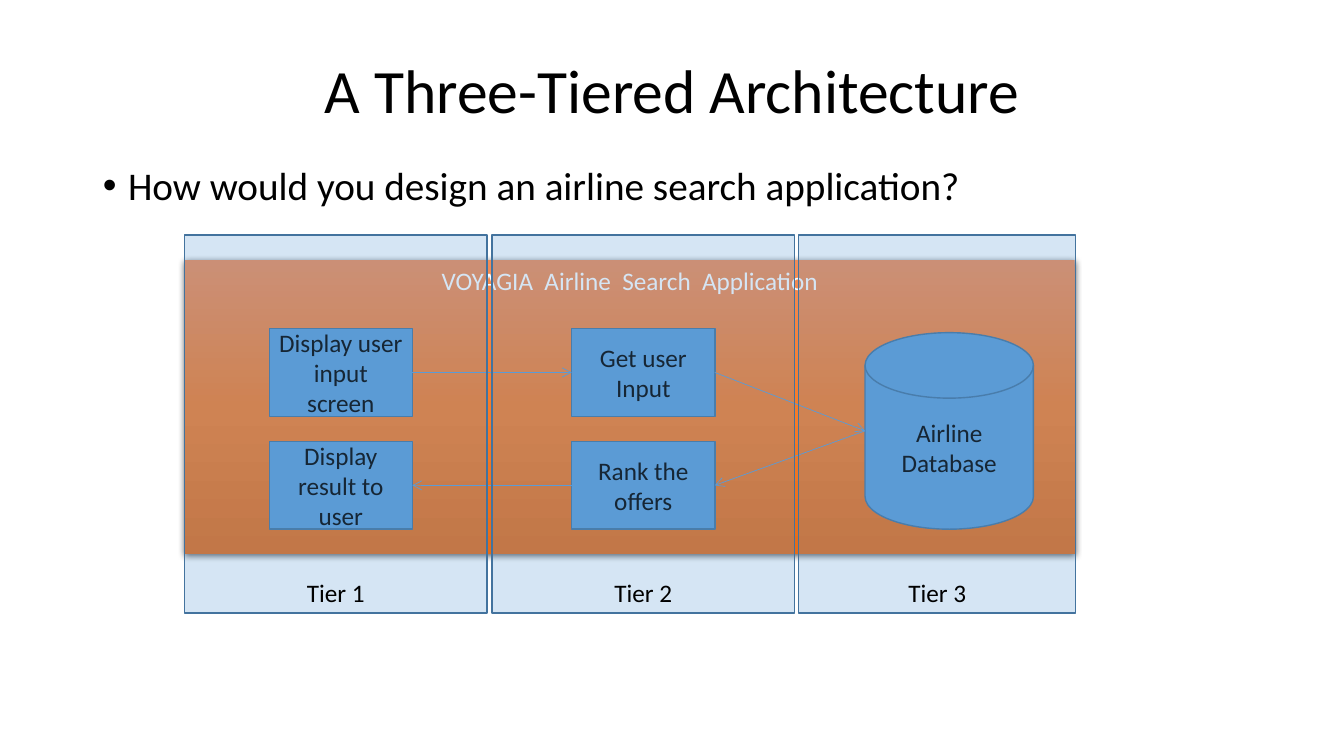
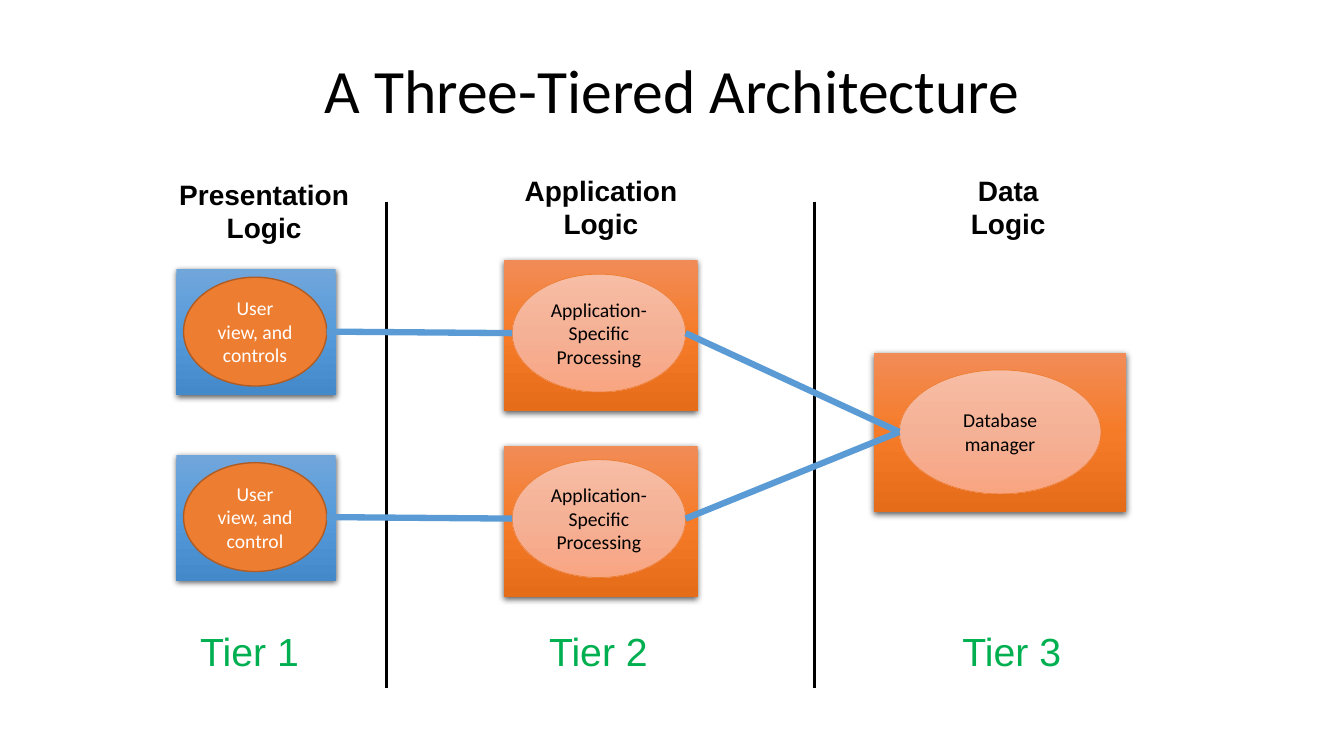
from lxml.etree import SubElement
from pptx import Presentation
from pptx.dml.color import RGBColor
from pptx.enum.dml import MSO_LINE
from pptx.enum.shapes import MSO_CONNECTOR, MSO_SHAPE
from pptx.enum.text import MSO_ANCHOR, MSO_AUTO_SIZE, PP_ALIGN
from pptx.oxml.ns import qn
from pptx.util import Emu, Pt

# Shared style
EMU_PER_PX = 9144  # 100 px to the inch
BLACK, WHITE, GREEN = "000000", "FFFFFF", "00B050"
BLUE, BLUE_EDGE = "5B9BD5", "43739E"
ORANGE, ORANGE_EDGE = "ED7D31", "AF5C24"
ORANGE_GRADIENT = ("F18C57", "F67B28", "E56C19")
BLUE_GRADIENT = ("71A6DB", "559BDB", "448ACA")
PALE_GRADIENT = ("F7BDA5", "F5B196", "F8A582")
HEADING = "A Three-Tiered Architecture"
TITLE_LAYOUT, LIST_LAYOUT = 5, 1


def px(length):
    return Emu(length * EMU_PER_PX)


def color(hex_string):
    return RGBColor.from_string(hex_string)


class Deck:
    """Holds the style and the current slide."""

    def __init__(self):
        self.presentation = Presentation()
        self.presentation.slide_width = px(1333)
        self.presentation.slide_height = px(750)
        self.slide = None

    def new_slide(self, layout):
        layouts = self.presentation.slide_layouts
        self.slide = self.presentation.slides.add_slide(layouts[layout])
        title = self.slide.shapes.title
        self.place(title, 217, 35, 900, 115)
        title.text_frame.vertical_anchor = MSO_ANCHOR.MIDDLE
        paragraph = self.add_text(title, HEADING, 44)
        paragraph.line_spacing = 0.9

    def place(self, shape, left, top, width, height):
        shape.left, shape.top = px(left), px(top)
        shape.width, shape.height = px(width), px(height)

    def add_text(self, shape, text, size, text_color=BLACK, font="Calibri",
                 bold=False, align=PP_ALIGN.CENTER, word_gap=0):
        """Fill one paragraph; word_gap widens the spaces, in points."""
        frame = shape.text_frame
        frame.word_wrap = True
        frame.auto_size = MSO_AUTO_SIZE.NONE
        paragraph = frame.paragraphs[0]
        paragraph.alignment = align
        pieces = text.replace(" ", "| |").split("|") if word_gap else [text]
        for piece in pieces:
            run = paragraph.add_run()
            run.text = piece
            run.font.size = Pt(size)
            run.font.name = font
            run.font.bold = bold
            run.font.color.rgb = color(text_color)
            if piece == " ":
                run.font._element.set("spc", str(word_gap * 100))
        return paragraph

    def bullet(self, text):
        body = self.slide.placeholders[1]
        self.place(body, 92, 160, 900, 495)
        paragraph = self.add_text(body, text, 28, align=PP_ALIGN.LEFT)
        paragraph.line_spacing = 0.9
        paragraph.space_before = Pt(10)
        properties = paragraph._p.get_or_add_pPr()
        properties.set("marL", str(px(25)))
        properties.set("indent", str(px(-25)))
        SubElement(properties, qn("a:buFont"), typeface="Arial")
        SubElement(properties, qn("a:buChar"), char="•")

    def shape(self, kind, box, fill, edge=None, edge_width=1, alpha=None, group=None):
        """Add a preset shape; a tuple of three colours fills it as a gradient."""
        shape = (group or self.slide).shapes.add_shape(kind, *map(px, box))
        shape.shadow.inherit = False
        shape.text_frame.vertical_anchor = MSO_ANCHOR.MIDDLE
        if isinstance(fill, tuple):
            self.gradient(shape, fill)
        else:
            shape.fill.solid()
            shape.fill.fore_color.rgb = color(fill)
        if alpha:
            solid = shape._element.spPr.find(qn("a:solidFill"))
            SubElement(solid[0], qn("a:alpha"), val=str(alpha * 1000))
        if edge:
            shape.line.color.rgb = color(edge)
            shape.line.width = Pt(edge_width)
        else:
            shape.line.fill.background()
        return shape

    def gradient(self, shape, colors):
        shape.fill.gradient()
        shape.fill.gradient_angle = 270
        stops = shape._element.spPr.find(qn("a:gradFill")).find(qn("a:gsLst"))
        for stop in list(stops):
            stops.remove(stop)
        for index, hex_string in enumerate(colors):
            stop = SubElement(stops, qn("a:gs"), pos=str(index * 50000))
            SubElement(stop, qn("a:srgbClr"), val=hex_string)

    def raised_panel(self, box, colors, group=None):
        panel = self.shape(MSO_SHAPE.RECTANGLE, box, colors, group=group)
        effects = panel._element.spPr.find(qn("a:effectLst"))
        shadow = SubElement(effects, qn("a:outerShdw"), blurRad=str(Pt(4.5)),
                            dist=str(Pt(1.5)), dir="5400000", rotWithShape="0")
        shade = SubElement(shadow, qn("a:srgbClr"), val=BLACK)
        SubElement(shade, qn("a:alpha"), val="63000")
        return panel

    def step(self, kind, box, text):
        step = self.shape(kind, box, BLUE, BLUE_EDGE)
        self.add_text(step, text, 18)
        return step

    def component(self, panel_box, panel_colors, oval_box, text, oval_style, text_color):
        """Group a raised panel with the labelled oval on it; return the oval."""
        group = self.slide.shapes.add_group_shape()
        self.raised_panel(panel_box, panel_colors, group)
        oval = self.shape(MSO_SHAPE.OVAL, oval_box, *oval_style, group=group)
        self.add_text(oval, text, 14, text_color)
        return oval

    def label(self, box, text, size, text_color=BLACK, bold=False):
        text_box = self.slide.shapes.add_textbox(*map(px, box))
        self.add_text(text_box, text, size, text_color, "Arial", bold)

    def line(self, start, end, line_color, width, arrow=False):
        connector = self.slide.shapes.add_connector(MSO_CONNECTOR.STRAIGHT, *start, *end)
        connector.line.color.rgb = color(line_color)
        connector.line.width = Pt(width)
        connector.line.dash_style = MSO_LINE.SOLID
        if arrow:
            line_element = connector._element.spPr.find(qn("a:ln"))
            SubElement(line_element, qn("a:tailEnd"), type="arrow")
        SubElement(connector._element.spPr, qn("a:effectLst"))

    def link(self, source, target, width, arrow=False):
        """Join the facing sides of two shapes at mid-height."""
        forward = source.left < target.left
        start_x = source.left + (source.width if forward else 0)
        end_x = target.left + (0 if forward else target.width)
        self.line((start_x, source.top + source.height // 2),
                  (end_x, target.top + target.height // 2), BLUE, width, arrow)


def search_application(deck):
    deck.new_slide(LIST_LAYOUT)
    deck.bullet("How would you design an airline search application?")

    # Application and its steps
    application = deck.raised_panel((183, 258, 883, 292), ORANGE_GRADIENT)
    application.text_frame.vertical_anchor = MSO_ANCHOR.TOP
    deck.add_text(application, "VOYAGIA Airline Search Application", 18, WHITE, word_gap=4)
    rank, show_result, get_input, show_input = [
        deck.step(MSO_SHAPE.RECTANGLE, (left, top, 142, 87), text)
        for left, top, text in (
            (567, 438, "Rank the offers"),
            (267, 438, "Display result to user"),
            (567, 326, "Get user Input"),
            (267, 326, "Display user input screen"),
        )
    ]
    database = deck.step(MSO_SHAPE.FLOWCHART_MAGNETIC_DISK, (858, 330, 167, 195),
                         "Airline Database")

    # Flow from input to result
    flow = (show_input, get_input, database, rank, show_result)
    for source, target in zip(flow, flow[1:]):
        deck.link(source, target, 0.5, arrow=True)

    # Translucent tiers over the application
    for number, (left, width) in enumerate(((183, 300), (488, 300), (792, 275)), 1):
        tier = deck.shape(MSO_SHAPE.RECTANGLE, (left, 233, width, 375), BLUE,
                          BLUE_EDGE, alpha=25)
        tier.text_frame.vertical_anchor = MSO_ANCHOR.BOTTOM
        deck.add_text(tier, f"Tier {number}", 18)


def tier_logic(deck):
    deck.new_slide(TITLE_LAYOUT)
    view_style = (ORANGE, ORANGE_EDGE, 1)
    logic_style = (PALE_GRADIENT, ORANGE, 0.5)

    # Components of each tier
    manager = deck.component((867, 350, 250, 158), ORANGE_GRADIENT, (892, 367, 200, 123),
                             "Database manager", logic_style, BLACK)
    rows = []
    for offset, view_text in ((0, "User view, and controls"), (184, "User view, and control")):
        view = deck.component((175, 267 + offset, 158, 125), BLUE_GRADIENT,
                              (182, 275 + offset, 142, 108), view_text, view_style, WHITE)
        processing = deck.component((500, 258 + offset, 192, 150), ORANGE_GRADIENT,
                                    (508, 272 + offset, 172, 117),
                                    "Application-Specific Processing", logic_style, BLACK)
        rows.append((view, processing))

    # Tier borders
    for left in (383, 808):
        deck.line((px(left), px(200)), (px(left), px(683)), BLACK, 2.25)

    # Links between tiers
    for view, processing in rows:
        deck.link(view, processing, 4.5)
        deck.link(processing, manager, 4.5)

    # Headings and tier names
    columns = (
        ("Presentation Logic", (133, 171, 258, 77), 183),
        ("Application Logic", (500, 167, 192, 77), 529),
        ("Data Logic", (925, 167, 150, 77), 939),
    )
    for number, (heading, box, name_left) in enumerate(columns, 1):
        deck.label(box, heading, 20, bold=True)
        deck.label((name_left, 617, 129, 57), f"Tier {number}", 28, GREEN)


def main():
    deck = Deck()
    search_application(deck)
    tier_logic(deck)
    deck.presentation.save("out.pptx")


if __name__ == "__main__":
    main()
